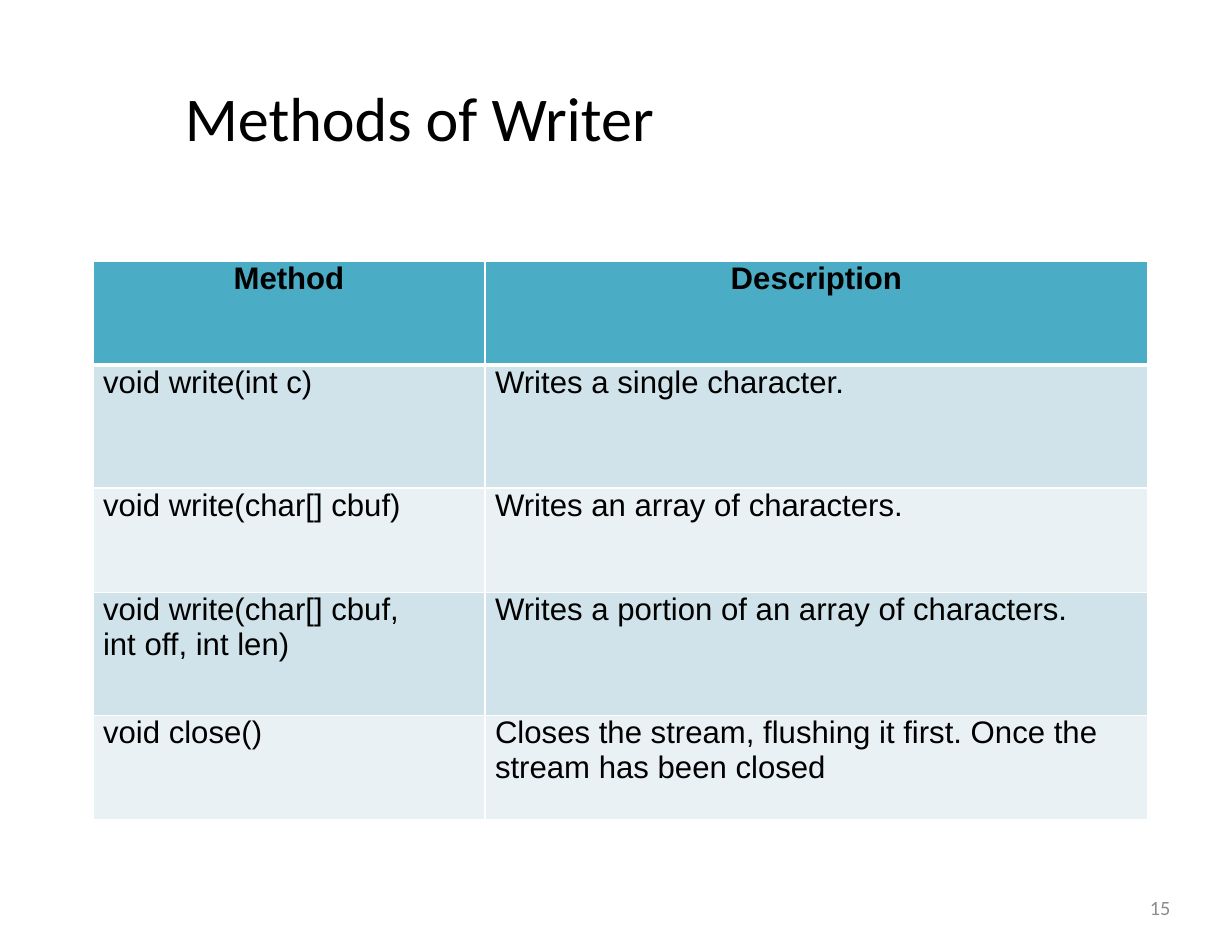
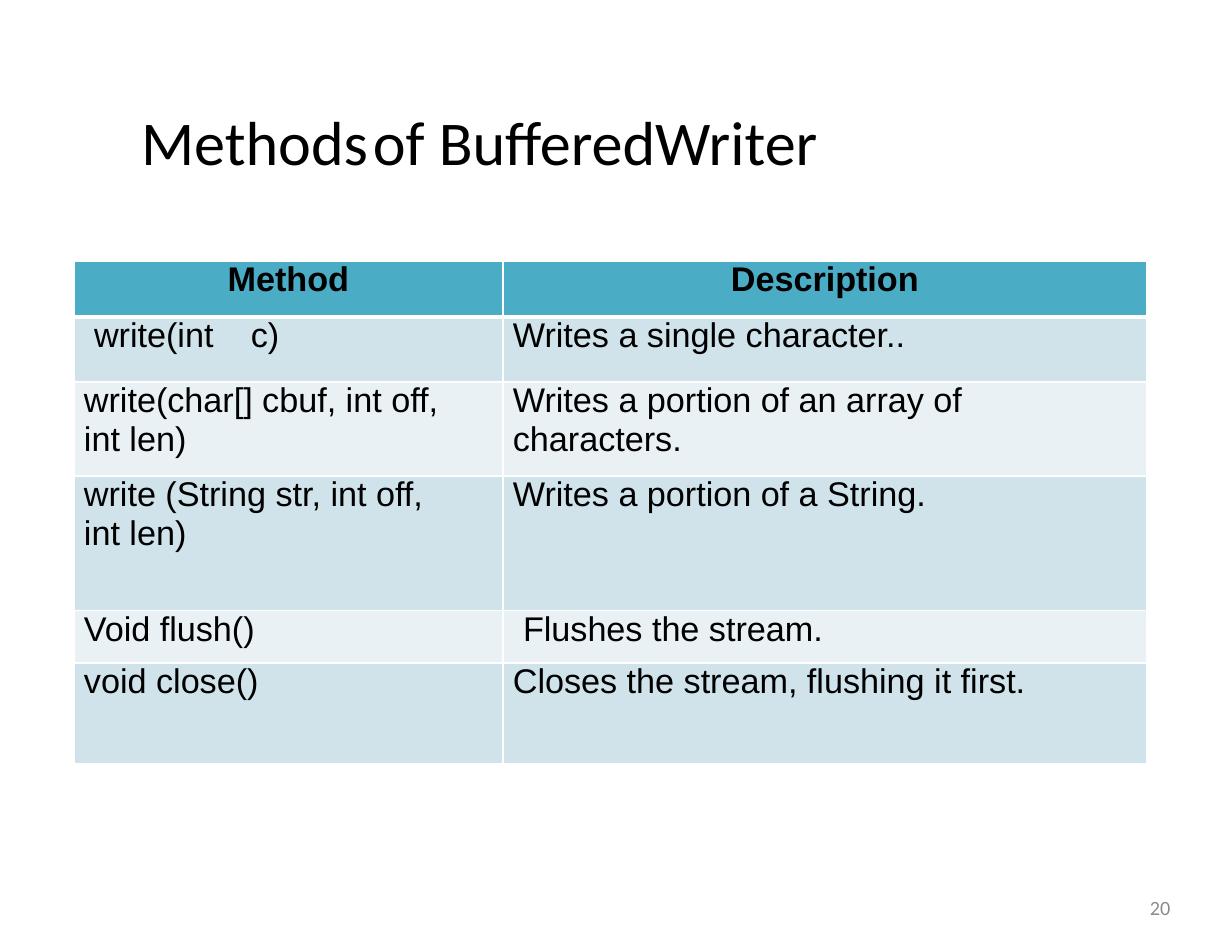
import pptx
import pptx.util
import pptx.dml.color
import pptx.enum.text
import pptx.oxml.ns
import lxml.etree

Inches = pptx.util.Inches
Pt = pptx.util.Pt
RGBColor = pptx.dml.color.RGBColor
Align = pptx.enum.text.PP_ALIGN
Anchor = pptx.enum.text.MSO_ANCHOR

BLACK = RGBColor(0x00, 0x00, 0x00)
GREY = RGBColor(0x8C, 0x8C, 0x8C)
WHITE = RGBColor(0xFF, 0xFF, 0xFF)
TEAL = RGBColor(0x4B, 0xAC, 0xC6)
BANDS = [RGBColor(0xD0, 0xE3, 0xEA), RGBColor(0xE9, 0xF1, 0xF5)]

WIDTH, HEIGHT = 11, 8.5
TOP = 2.33
PAD = 0.09
ENDS = (0.5, 0.25)
THIN, THICK = 1.18, 3.1
HEAD = ("Method", "Description")

SLIDES = [
    {
        "title": "Methods of Writer",
        "place": (1.65, 0.71, 8.8, 0.67),
        "page": "15",
        "left": 0.83,
        "cols": (3.5, 5.92),
        "rows": (0.93, 1.1, 0.93, 1.1, 0.93),
        "size": 20,
        "cells": [
            ("void write(int c)", "Writes a single character."),
            ("void write(char[] cbuf)", "Writes an array of characters."),
            ("void write(char[] cbuf, int off, int len)",
             "Writes a portion of an array of characters."),
            ("void close()",
             "Closes the stream, flushing it first. Once the stream has been closed"),
        ],
    },
    {
        "title": "Methods\tof BufferedWriter",
        "place": (1.26, 0.92, 6.32, 0.67),
        "page": "20",
        "left": 0.66,
        "cols": (3.83, 5.75),
        "rows": (0.5, 0.58, 0.84, 1.2, 0.47, 0.9),
        "size": 22,
        "inset": {(1, 0), (4, 1)},
        "cells": [
            ("write(int\tc)", "Writes a single character.."),
            ("write(char[] cbuf, int off, int len)",
             "Writes a portion of an array of characters."),
            ("write (String str, int off, int len)", "Writes a portion of a String."),
            ("Void flush()", "Flushes the stream."),
            ("void close()", "Closes the stream, flushing it first."),
        ],
    },
]


def write(frame, text, font="Arial", size=20, color=BLACK, bold=False,
          align=Align.LEFT, tab=None):
    para = frame.paragraphs[0]
    para.alignment = align
    run = para.add_run()
    run.text = text
    run.font.name = font
    run.font.size = Pt(size)
    run.font.bold = bold
    run.font.color.rgb = color
    if tab and "\t" in text:
        qn = pptx.oxml.ns.qn
        stops = lxml.etree.SubElement(para._p.get_or_add_pPr(), qn("a:tabLst"))
        lxml.etree.SubElement(stops, qn("a:tab"), pos=str(Inches(tab)), algn="l")


def place(shape, box):
    shape.left, shape.top, shape.width, shape.height = map(Inches, box)
    frame = shape.text_frame
    frame.margin_left = frame.margin_right = 0
    frame.margin_top = frame.margin_bottom = 0
    frame.word_wrap = True
    frame.auto_size = pptx.enum.text.MSO_AUTO_SIZE.NONE
    frame.vertical_anchor = Anchor.MIDDLE
    return frame


def edge(cell, row):
    qn = pptx.oxml.ns.qn
    props = cell._tc.get_or_add_tcPr()
    sides = {"L": THIN, "R": THIN,
             "T": THICK if row == 1 else THIN,
             "B": THICK if row == 0 else THIN}
    for side, width in sides.items():
        line = lxml.etree.SubElement(props, qn("a:ln" + side), w=str(Pt(width)))
        fill = lxml.etree.SubElement(line, qn("a:solidFill"))
        lxml.etree.SubElement(fill, qn("a:srgbClr"), val=str(WHITE))


def grid(slide, data):
    cells = [HEAD] + data["cells"]
    cols, rows = data["cols"], data["rows"]
    box = map(Inches, (data["left"], TOP, sum(cols), sum(rows)))
    table = slide.shapes.add_table(len(rows), len(cols), *box).table
    for col, width in zip(table.columns, cols):
        col.width = Inches(width)
    for row, height in zip(table.rows, rows):
        row.height = Inches(height)
    for r, texts in enumerate(cells):
        for c, text in enumerate(texts):
            cell = table.cell(r, c)
            head = r == 0
            pad = PAD * 2 if (r, c) in data.get("inset", ()) else PAD
            cell.margin_left = 0 if head else Inches(pad)
            cell.margin_right = 0 if head else Inches(ENDS[c])
            cell.margin_top = cell.margin_bottom = 0
            edge(cell, r)
            cell.fill.solid()
            cell.fill.fore_color.rgb = TEAL if head else BANDS[(r - 1) % 2]
            write(cell.text_frame, text, size=data["size"], bold=head,
                  align=Align.CENTER if head else Align.LEFT, tab=1.4)


def main():
    deck = pptx.Presentation()
    deck.slide_width, deck.slide_height = Inches(WIDTH), Inches(HEIGHT)
    for data in SLIDES:
        slide = deck.slides.add_slide(deck.slide_layouts[5])
        title = place(slide.shapes.title, data["place"])
        write(title, data["title"], font="Calibri", size=40, tab=2.07)
        box = (7.88, 7.88, 2.57, 0.45)
        page = place(slide.shapes.add_textbox(0, 0, 0, 0), box)
        write(page, data["page"], font="Calibri", size=13, color=GREY,
              align=Align.RIGHT)
        grid(slide, data)
    deck.save("out.pptx")


if __name__ == "__main__":
    main()
